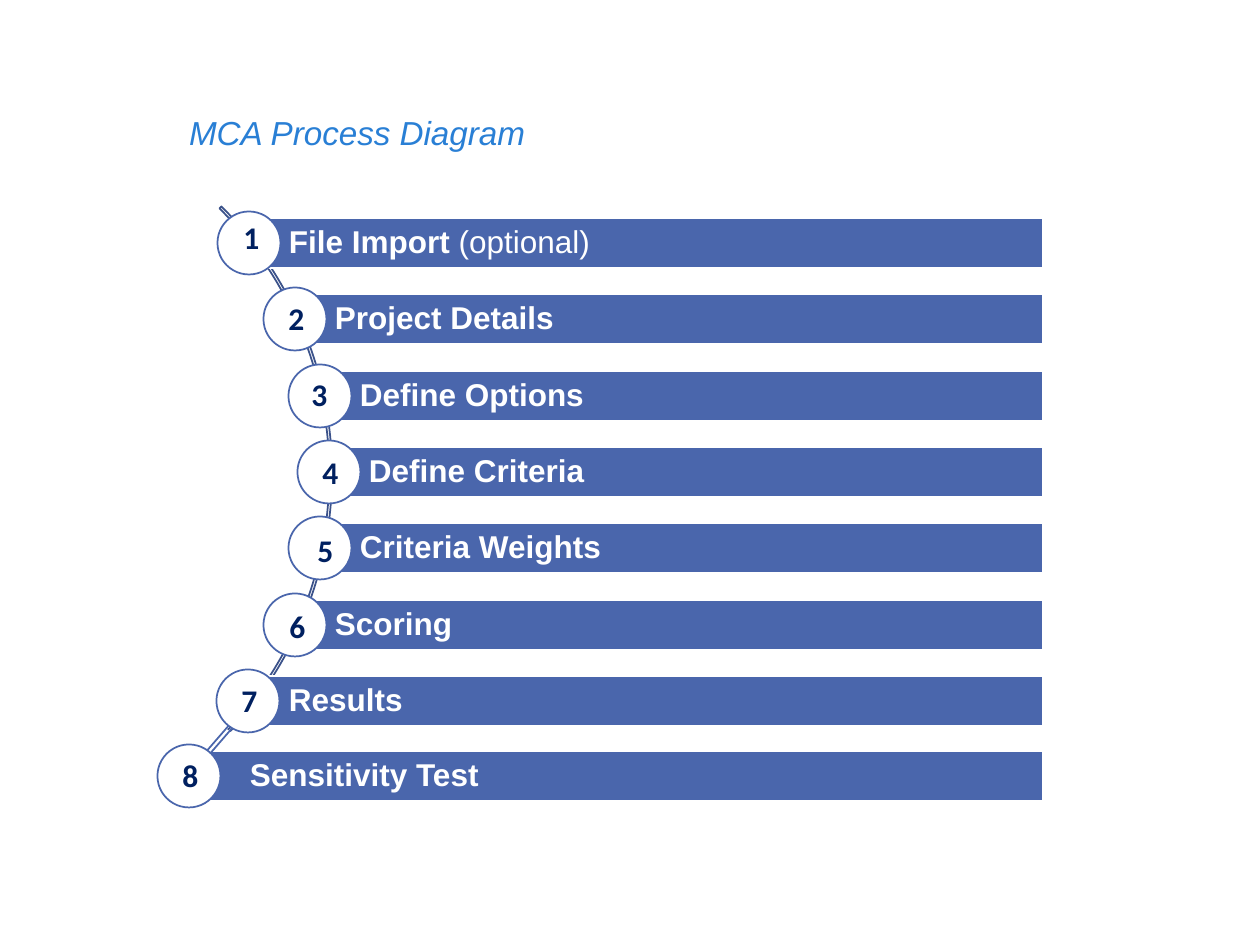
import pptx
import pptx.util
import pptx.dml.color
import pptx.enum.shapes
import pptx.enum.text
import pptx.oxml
from dataclasses import dataclass

KIND = pptx.enum.shapes.MSO_SHAPE
ALIGN = pptx.enum.text.PP_ALIGN
ANCHOR = pptx.enum.text.MSO_ANCHOR
SCALE = 914400 / 126


@dataclass(frozen=True)
class Theme:
    blue: str = "4A66AC"
    arc: str = "3B528A"
    title: str = "297FD5"
    navy: str = "002060"
    white: str = "FFFFFF"
    head: int = 19
    body: int = 18
    text: str = "Arial"
    digit: str = "Calibri"


THEME = Theme()


def px(size):
    return pptx.util.Emu(round(size * SCALE))


def color(code):
    return pptx.dml.color.RGBColor.from_string(code)


def style(font, name, size, code, bold=None, italic=None):
    font.name, font.size = name, pptx.util.Pt(size)
    font.bold, font.italic = bold, italic
    font.color.rgb = color(code)


def inset(frame, left, top, right, bottom):
    frame.margin_left, frame.margin_top = px(left), px(top)
    frame.margin_right, frame.margin_bottom = px(right), px(bottom)


def add_shape(slide, kind, box, fill, line):
    shape = slide.shapes.add_shape(kind, *map(px, box))
    shape.shadow.inherit = False
    if fill:
        shape.fill.solid()
        shape.fill.fore_color.rgb = color(fill)
    else:
        shape.fill.background()
    shape.line.color.rgb = color(line)
    shape.line.width = pptx.util.Pt(1)
    return shape


def add_title(slide, box, text):
    frame = slide.shapes.add_textbox(*map(px, box)).text_frame
    frame.word_wrap = True
    inset(frame, 0, 0, 0, 0)
    para = frame.paragraphs[0]
    para.text = text
    style(para.font, THEME.text, THEME.head, THEME.title, italic=True)


def add_arc(slide, box):
    arc = add_shape(slide, KIND.BLOCK_ARC, box, None, THEME.arc)
    # Start and end angles in units of 100000/60000 degrees, then thickness
    for i, value in enumerate((189, 27, 0.0036)):
        arc.adjustments[i] = value


def add_bar(slide, box, label, note):
    bar = add_shape(slide, KIND.RECTANGLE, box, THEME.blue, THEME.white)
    frame = bar.text_frame
    frame.word_wrap = True
    frame.vertical_anchor = ANCHOR.MIDDLE
    inset(frame, 40, 6, 6, 6)
    para = frame.paragraphs[0]
    para.alignment, para.line_spacing = ALIGN.LEFT, 0.9
    style(para.font, THEME.text, THEME.body, THEME.white)
    for text, bold in ((label, True), (note, False)):
        if text:
            run = para.add_run()
            run.text, run.font.bold = text, bold


def add_tail(slide, box):
    """Cover the end of the arc and lead a double line to the last step."""
    left, top, width, height = box
    mask = add_shape(slide, KIND.RECTANGLE, (left + 48, top + 4, 16, 19),
                     THEME.white, THEME.white)
    mask.rotation = 308.9
    for gap in (0, 3):
        ends = left + width + gap, top + gap, left + gap, top + height + gap
        line = slide.shapes.add_connector(
            pptx.enum.shapes.MSO_CONNECTOR.STRAIGHT, *map(px, ends))
        line.line.color.rgb = color(THEME.blue)
        line.line.width = pptx.util.Pt(1)
        props = line._element.spPr
        props.append(pptx.oxml.parse_xml(
            '<a:effectLst xmlns:a="http://schemas.openxmlformats.org/'
            'drawingml/2006/main"/>'))


def add_badge(slide, box, number, shift):
    left, top, size, _ = box
    add_shape(slide, KIND.OVAL, box, THEME.white, THEME.blue)
    across, down = shift
    place = left + size / 2 - 19 + across, top + down, 38, 50
    frame = slide.shapes.add_textbox(*map(px, place)).text_frame
    frame.word_wrap = True
    para = frame.paragraphs[0]
    para.text, para.alignment = str(number), ALIGN.CENTER
    style(para.font, THEME.digit, THEME.body, THEME.navy, bold=True)


# Label, note, bar left, bar top, badge centre, shift of the number
STEPS = [
    ("File Import ", "(optional)", 249, 218, 249, (1, 0)),
    ("Project Details", "", 295, 294, 295, (0, 5)),
    ("Define Options", "", 320, 371, 320, (-2, 4)),
    ("Define Criteria", "", 329, 447, 329, (0, 6)),
    ("Criteria Weights", "", 320, 523, 320, (4, 8)),
    ("Scoring", "", 295, 600, 295, (1, 7)),
    ("Results", "", 249, 676, 248, (0, 5)),
    ("Sensitivity Test", "", 210, 751, 189, (0, 5)),
]


def add_steps(slide, right):
    for label, note, left, top, _, _ in STEPS:
        add_bar(slide, (left, top, right - left, 50), label, note)
    add_tail(slide, (166, 723, 65, 75))
    for number, (_, _, _, top, mid, shift) in enumerate(STEPS, 1):
        add_badge(slide, (mid - 31.5, top - 6.5, 63, 63), number, shift)


deck = pptx.Presentation()
deck.slide_width, deck.slide_height = px(1260), px(945)
slide = deck.slides.add_slide(deck.slide_layouts[6])
add_arc(slide, (-423, 96, 755, 755))
add_title(slide, (189, 112, 851, 40), "MCA Process Diagram")
add_steps(slide, 1043)
deck.save("out.pptx")
